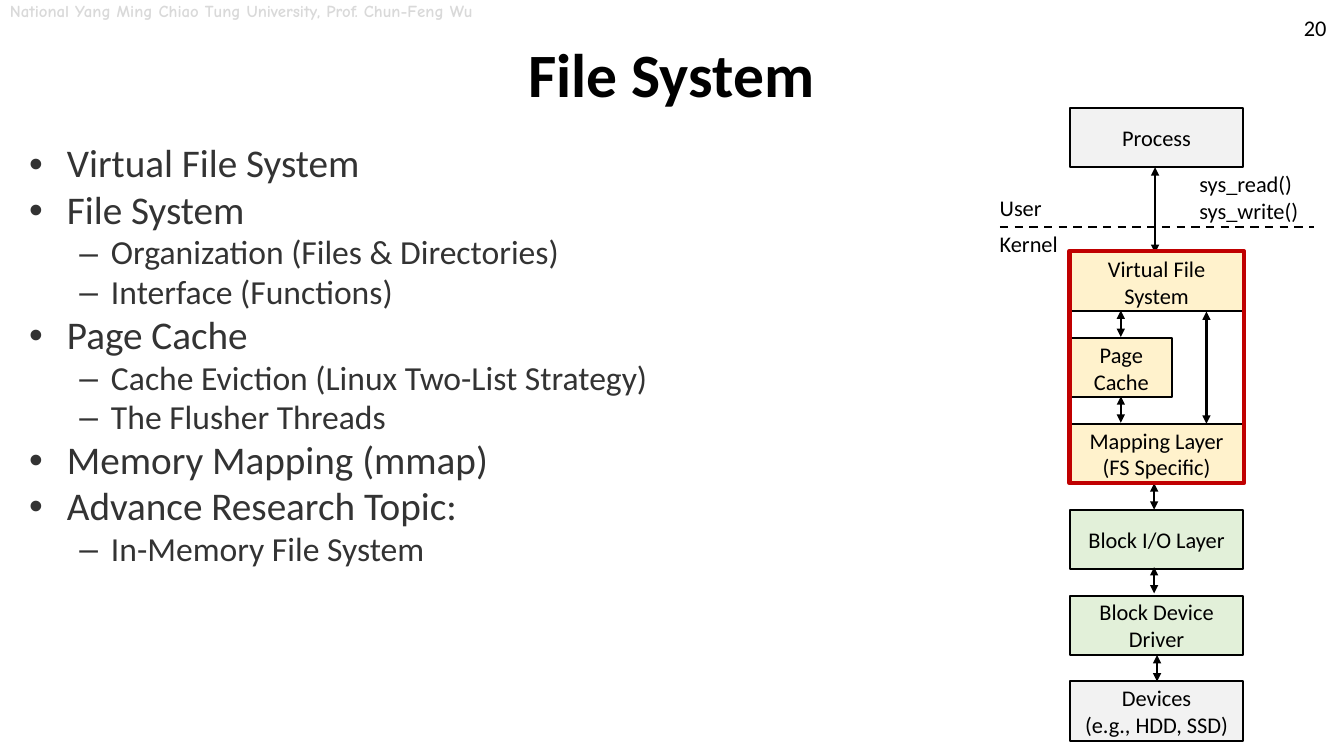
from lxml.etree import SubElement
from pptx import Presentation
from pptx.dml.color import RGBColor
from pptx.enum.dml import MSO_LINE
from pptx.enum.shapes import MSO_CONNECTOR, MSO_SHAPE
from pptx.enum.text import MSO_ANCHOR, PP_ALIGN
from pptx.oxml.ns import qn
from pptx.util import Pt

BLACK, GRAY, YELLOW, GREEN, RED = "000000", "F2F2F2", "FFF2CC", "E2F0D9", "C00000"
LABEL_FORMAT = {"name": "Calibri", "size": Pt(16)}

TOPICS = [
    (0, "Virtual File System"),
    (0, "File System"),
    (1, "Organization (Files & Directories)"),
    (1, "Interface (Functions)"),
    (0, "Page Cache"),
    (1, "Cache Eviction (Linux Two-List Strategy)"),
    (1, "The Flusher Threads"),
    (0, "Memory Mapping (mmap)"),
    (0, "Advance Research Topic:"),
    (1, "In-Memory File System"),
]
# bullet, left margin, hanging indent, text size
LEVELS = [("•", 27, -27, 28), ("–", 58.5, -22.5, 24)]


def color(hex_string):
    return RGBColor.from_string(hex_string)


def format_runs(paragraph, values, hex_string):
    for run in paragraph.runs:
        for key, value in values.items():
            setattr(run.font, key, value)
        run.font.color.rgb = color(hex_string)


def write(frame, paragraphs, values=LABEL_FORMAT, hex_string=BLACK,
          align=PP_ALIGN.LEFT, anchor=MSO_ANCHOR.TOP):
    frame.word_wrap = True
    frame.vertical_anchor = anchor
    for index, words in enumerate(paragraphs):
        paragraph = frame.add_paragraph() if index else frame.paragraphs[0]
        paragraph.text = words
        paragraph.alignment = align
        format_runs(paragraph, values, hex_string)


def add_text(slide, box, paragraphs, **style):
    textbox = slide.shapes.add_textbox(*map(Pt, box))
    write(textbox.text_frame, paragraphs, **style)
    return textbox.text_frame


def add_box(slide, box, fill=None, outline=BLACK, weight=1.5):
    block = slide.shapes.add_shape(MSO_SHAPE.RECTANGLE, *map(Pt, box))
    block.shadow.inherit = False
    if fill:
        block.fill.solid()
        block.fill.fore_color.rgb = color(fill)
    else:
        block.fill.background()
    block.line.color.rgb = color(outline)
    block.line.width = Pt(weight)
    return block


def add_line(slide, start, end, dash=None, arrows=False):
    connector = slide.shapes.add_connector(
        MSO_CONNECTOR.STRAIGHT, *map(Pt, (*start, *end)))
    connector.line.color.rgb = color(BLACK)
    connector.line.width = Pt(1.5)
    if dash:
        connector.line.dash_style = dash
    properties = connector._element.spPr
    if arrows:
        for tip in ("a:headEnd", "a:tailEnd"):
            SubElement(properties.find(qn("a:ln")), qn(tip), type="triangle")
    SubElement(properties, qn("a:effectLst"))


def draw_header(slide, box):
    left, top, width, height = box
    add_text(slide, (left, top - 2.9, 374, 21.6),
             ["National Yang Ming Chiao Tung University, Prof. Chun-Feng Wu"],
             values={"name": "Comic Neue", "size": Pt(12), "bold": True},
             hex_string="D9D9D9")
    title = add_text(slide, (left + 13.7, top + 13.7, width - 28, 83.5),
                     ["File System"],
                     values={"name": "Calibri", "size": Pt(44), "bold": True},
                     align=PP_ALIGN.CENTER, anchor=MSO_ANCHOR.MIDDLE)
    title.paragraphs[0].line_spacing = 0.9
    add_text(slide, (left + width - 41, top + 0.7, 41, 38.2), ["20"],
             align=PP_ALIGN.CENTER, anchor=MSO_ANCHOR.MIDDLE)


def draw_topics(slide, box):
    frame = slide.shapes.add_textbox(*map(Pt, box)).text_frame
    frame.word_wrap = True
    for index, (level, topic) in enumerate(TOPICS):
        bullet, margin, indent, size = LEVELS[level]
        paragraph = frame.add_paragraph() if index else frame.paragraphs[0]
        paragraph.text = topic
        paragraph_properties = paragraph._p.get_or_add_pPr()
        paragraph_properties.set("marL", str(Pt(margin)))
        paragraph_properties.set("indent", str(Pt(indent)))
        SubElement(paragraph_properties, qn("a:buFont"), typeface="Arial")
        SubElement(paragraph_properties, qn("a:buChar"), char=bullet)
        values = {"level": level, "alignment": PP_ALIGN.JUSTIFY, "line_spacing": 0.98}
        for key, value in values.items():
            setattr(paragraph, key, value)
        format_runs(paragraph, {"name": "Calibri", "size": Pt(size)}, "333333")


def draw_stack(slide, box):
    left, top, width, height = box
    layer_height, pitch, kernel_top = 42.5, 61.35, top + 103
    cache_width = 72.7

    # Layers from the process down to the devices
    process_box = (left, top, width, layer_height)
    kernel_layers = [
        (["Virtual File System"], YELLOW, width),
        (["Page Cache"], YELLOW, cache_width),
        (["Mapping Layer\n(FS Specific)"], YELLOW, width),
        (["Block I/O Layer"], GREEN, width),
        (["Block Device Driver"], GREEN, width),
        (["Devices", "(e.g., HDD, SSD)"], GRAY, width),
    ]
    layers = [(["Process"], GRAY, process_box)]
    for row, (label, fill, layer_width) in enumerate(kernel_layers):
        layers.append((label, fill, (left, kernel_top + row * pitch,
                                     layer_width, layer_height)))
    for label, fill, layer_box in layers:
        write(add_box(slide, layer_box, fill).text_frame, label,
              align=PP_ALIGN.CENTER, anchor=MSO_ANCHOR.MIDDLE)

    # Border between user and kernel space
    border = top + 85
    add_line(slide, (left - 50.4, border), (left + 174.2, border), MSO_LINE.DASH)
    add_text(slide, (left - 57.6, border - 26.6, 48, 26.6), ["User"])
    add_text(slide, (left - 57.6, border - 1.4, 60, 26.6), ["Kernel"])
    add_text(slide, (left + 85, border - 44, 90, 46), ["sys_read()", "sys_write()"])

    # Two-way arrows: offset from the left, upper row, lower row, lift
    add_line(slide, (left + 60.5, top + layer_height),
             (left + 60.5, kernel_top + 0.7), arrows=True)
    for offset, upper, lower, lift in [
        (97.2, 0, 2, 0), (36, 0, 1, 0.7), (36, 1, 2, 0.7),
        (59.8, 2, 3, 0), (59.8, 3, 4, 1.5), (61.9, 4, 5, 0),
    ]:
        add_line(slide,
                 (left + offset, kernel_top + upper * pitch + layer_height - lift),
                 (left + offset, kernel_top + lower * pitch - lift), arrows=True)

    # Frame around the file system layers
    add_box(slide, (left - 0.7, kernel_top - 0.7, width + 1.4,
                    2 * pitch + layer_height + 0.7), outline=RED, weight=3)


def main():
    presentation = Presentation()
    presentation.slide_width, presentation.slide_height = Pt(960), Pt(540)
    slide = presentation.slides.add_slide(presentation.slide_layouts[6])
    draw_header(slide, (0, 0, 960, 97))
    draw_topics(slide, (13.7, 97.2, 932, 428.4))
    draw_stack(slide, (764.6, 77, 123.1, 452))
    presentation.save("out.pptx")


if __name__ == "__main__":
    main()
